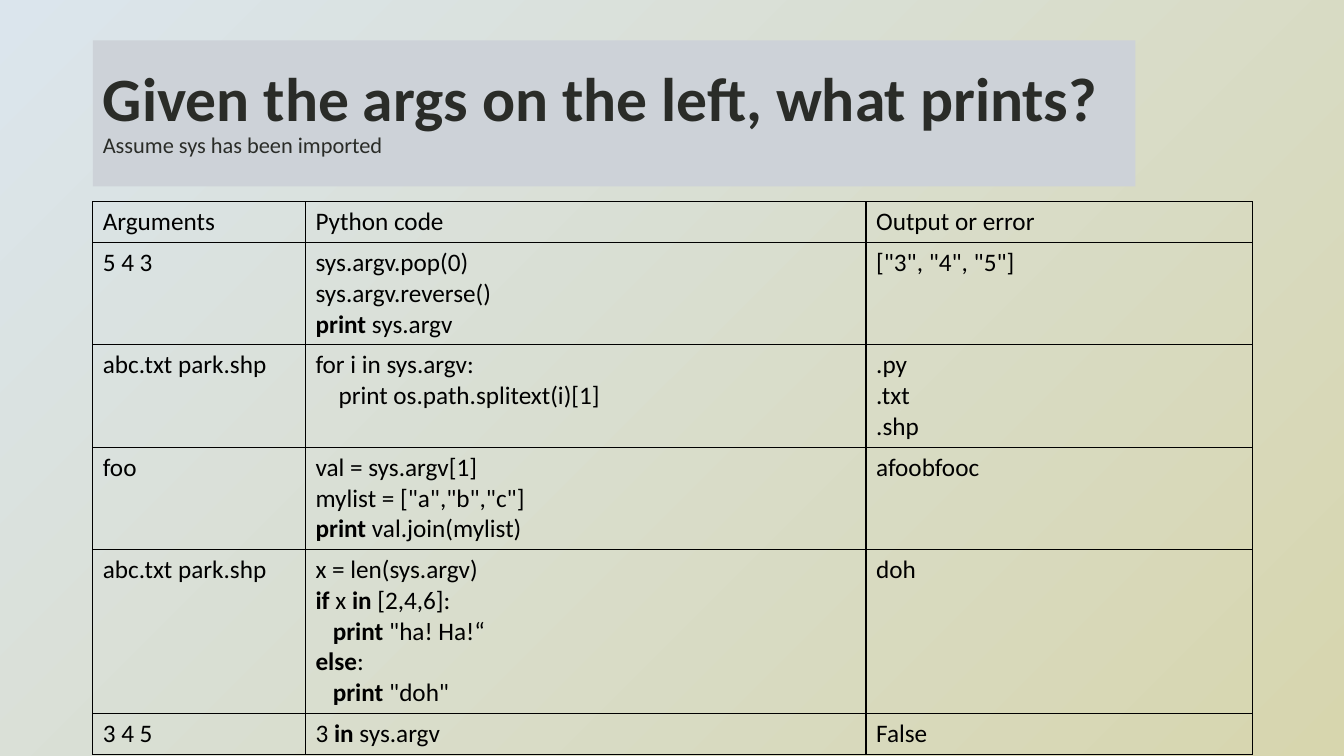
from lxml import etree
from pptx import Presentation
from pptx.dml.color import RGBColor
from pptx.enum import text
from pptx.oxml import ns
from pptx.util import Inches, Pt


def paint(target, color):
    target.rgb = RGBColor.from_string(color)


def border(cell, color, width):
    """Draw a solid line on all four sides; call before setting the fill."""
    props = cell._tc.get_or_add_tcPr()
    for side in ("lnL", "lnR", "lnT", "lnB"):
        line = etree.SubElement(props, ns.qn("a:" + side), w=str(Pt(width)))
        fill = etree.SubElement(line, ns.qn("a:solidFill"))
        etree.SubElement(fill, ns.qn("a:srgbClr"), val=color)


deck = Presentation()
deck.slide_width, deck.slide_height = Inches(13.33), Inches(7.5)
slide = deck.slides.add_slide(deck.slide_layouts[5])

back = slide.background.fill
back.gradient()
back.gradient_angle = 315
for stop, color in zip(back.gradient_stops, ("DBE5ED", "D7D6AE")):
    paint(stop.color, color)

# Title
title = slide.shapes.title
title.left, title.top = Inches(0.92), Inches(0.4)
title.width, title.height = Inches(10.34), Inches(1.45)
title.fill.solid()
paint(title.fill.fore_color, "CDD2D8")
frame = title.text_frame
frame.text = "Given the args on the left, what prints?\vAssume sys has been imported"
frame.word_wrap = True
frame.auto_size = text.MSO_AUTO_SIZE.NONE
frame.vertical_anchor = text.MSO_ANCHOR.MIDDLE
head = frame.paragraphs[0]
head.alignment = text.PP_ALIGN.LEFT
head.line_spacing = 0.9
for run, size, bold in zip(head.runs, (44, 16), (True, False)):
    run.font.name = "Calibri"
    run.font.size, run.font.bold = Pt(size), bold
    paint(run.font.color, "2A2C28")

# Table: *stars* mark bold words, leading spaces become an indent
rows = [
    ("Arguments", "Python code", "Output or error"),
    ("5 4 3",
     "sys.argv.pop(0)\nsys.argv.reverse()\n*print* sys.argv",
     '["3", "4", "5"]'),
    ("abc.txt park.shp",
     "for i in sys.argv:\n    print os.path.splitext(i)[1]",
     ".py\n.txt\n.shp"),
    ("foo",
     'val = sys.argv[1]\nmylist = ["a","b","c"]\n*print* val.join(mylist)',
     "afoobfooc"),
    ("abc.txt park.shp",
     'x = len(sys.argv)\n*if* x *in* [2,4,6]:\n   *print* "ha! Ha!“\n'
     '*else*:\n   *print* "doh"',
     "doh"),
    ("3 4 5", "3 *in* sys.argv", "False"),
]
widths = (2.11, 5.56, 3.83)
table = slide.shapes.add_table(len(rows), len(widths), Inches(0.92), Inches(2),
                               Inches(11.5), Inches(5.41)).table
table.first_row = table.horz_banding = False
for col, width in zip(table.columns, widths):
    col.width = Inches(width)

for r, row in enumerate(rows):
    count = max(entry.count("\n") + 1 for entry in row)
    table.rows[r].height = Inches(0.1 + 0.3 * count)
    for c, entry in enumerate(row):
        cell = table.cell(r, c)
        border(cell, "000000", 1)
        cell.fill.background()
        for n, line in enumerate(entry.split("\n")):
            frame = cell.text_frame
            para = frame.paragraphs[0] if n == 0 else frame.add_paragraph()
            code = line.lstrip()
            depth = len(line) - len(code)
            if depth:
                props = para._p.get_or_add_pPr()
                props.set("marL", str(Inches(0.057 * depth)))
                props.set("indent", "0")
            for i, part in enumerate(code.split("*")):
                if part:
                    run = para.add_run()
                    run.text = part
                    run.font.name, run.font.size = "Calibri", Pt(18)
                    run.font.bold = i % 2 == 1
                    paint(run.font.color, "000000")

deck.save("out.pptx")
